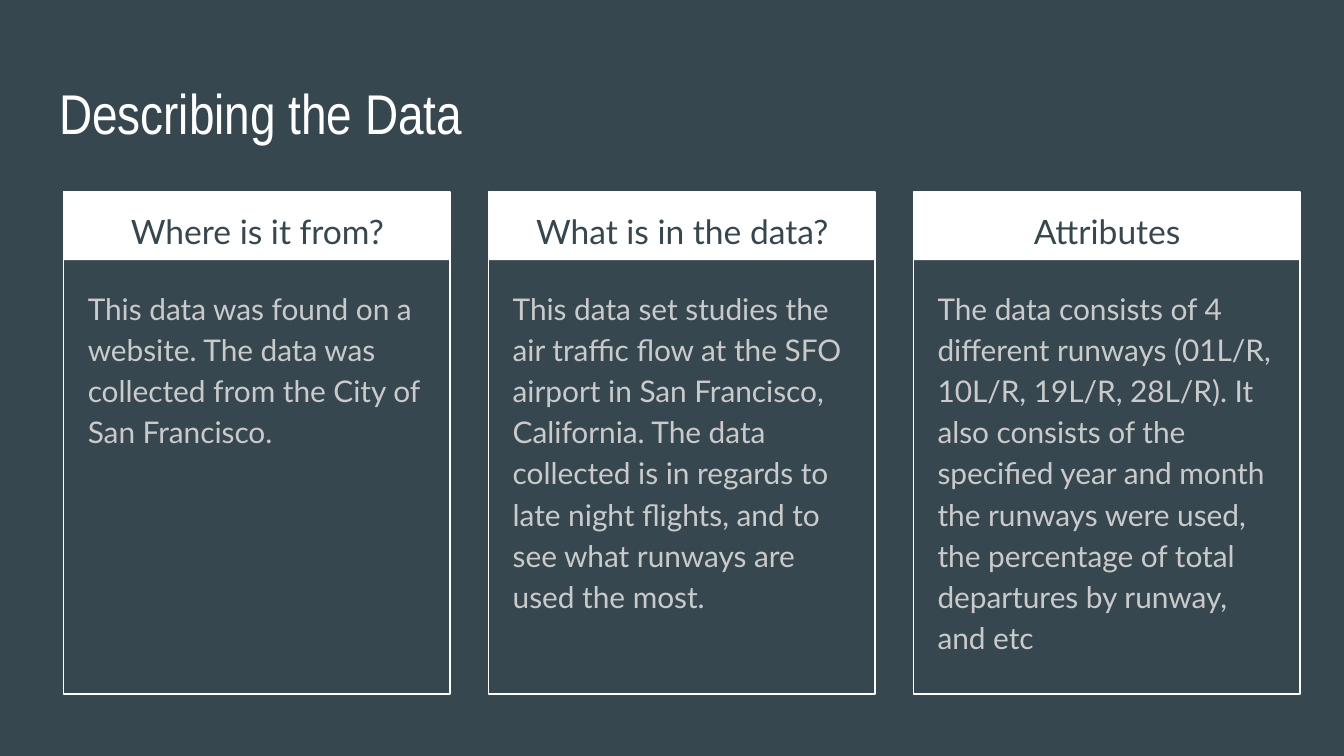
from dataclasses import dataclass

from lxml.etree import SubElement
from pptx import Presentation
from pptx.dml.color import RGBColor
from pptx.enum.shapes import MSO_SHAPE
from pptx.enum.text import MSO_ANCHOR, MSO_AUTO_SIZE, PP_ALIGN
from pptx.oxml.ns import qn
from pptx.shapes.autoshape import Shape
from pptx.slide import Slide
from pptx.util import Cm, Pt

SLATE = RGBColor(0x37, 0x47, 0x4F)
WHITE = RGBColor(0xFF, 0xFF, 0xFF)
LIGHT_GRAY = RGBColor(0xCA, 0xCA, 0xCA)

COMPARISON_LAYOUT = 4
FIRST_LEFT, COLUMN_PITCH = 1.2, 8.03
PANEL_TOP, PANEL_WIDTH, PANEL_HEIGHT = 3.63, 7.31, 9.49
HEADER_HEIGHT = 1.29
TEXT_MARGIN = 0.25


@dataclass(frozen=True)
class Area:
    """A rectangle in centimetres."""
    left: float
    top: float
    width: float
    height: float

    def lengths(self) -> tuple[Cm, Cm, Cm, Cm]:
        return Cm(self.left), Cm(self.top), Cm(self.width), Cm(self.height)


@dataclass(frozen=True)
class TextStyle:
    font: str
    size: int
    color: RGBColor
    align: PP_ALIGN = PP_ALIGN.LEFT
    line_spacing: float = 1.0
    space_after: int = 0


@dataclass(frozen=True)
class Column:
    heading: str
    body: str


TITLE = TextStyle("Arial Narrow", 30, WHITE)
HEADING = TextStyle("Lato", 18, SLATE, PP_ALIGN.CENTER, 1.15)
BODY = TextStyle("Lato", 16, LIGHT_GRAY, line_spacing=1.15, space_after=16)

COLUMNS = [
    Column("Where is it from?",
           "This data was found on a website. The data was collected from "
           "the City of San Francisco."),
    Column("What is in the data?",
           "This data set studies the air traffic flow at the SFO airport in "
           "San Francisco, California. The data collected is in regards to "
           "late night flights, and to see what runways are used the most."),
    Column("Attributes",
           "The data consists of 4 different runways (01L/R, 10L/R, 19L/R, "
           "28L/R). It also consists of the specified year and month the "
           "runways were used, the percentage of total departures by runway, "
           "and etc"),
]


def write_text(box: Shape, area: Area, text: str, style: TextStyle) -> None:
    box.left, box.top, box.width, box.height = area.lengths()
    frame = box.text_frame
    frame.word_wrap = True
    frame.auto_size = MSO_AUTO_SIZE.NONE
    frame.vertical_anchor = MSO_ANCHOR.TOP
    frame.margin_left = frame.margin_right = Cm(TEXT_MARGIN)
    frame.margin_top = frame.margin_bottom = Cm(TEXT_MARGIN)
    frame.text = text

    para = frame.paragraphs[0]
    para.alignment = style.align
    para.line_spacing = style.line_spacing
    para.space_before, para.space_after = Pt(0), Pt(style.space_after)
    para.font.name = style.font
    para.font.size = Pt(style.size)
    para.font.bold = False
    para.font.color.rgb = style.color

    properties = para._p.get_or_add_pPr()
    properties.set("marL", "0")
    properties.set("indent", "0")
    bullet = SubElement(properties, qn("a:buNone"))
    properties.find(qn("a:defRPr")).addprevious(bullet)


def add_rectangle(page: Slide, area: Area) -> Shape:
    rectangle = page.shapes.add_shape(MSO_SHAPE.RECTANGLE, *area.lengths())
    rectangle.shadow.inherit = False
    return rectangle


def add_panel(page: Slide, left: float) -> None:
    header = add_rectangle(page, Area(left, PANEL_TOP, PANEL_WIDTH, HEADER_HEIGHT))
    header.fill.solid()
    header.fill.fore_color.rgb = WHITE
    header.line.fill.background()

    outline = add_rectangle(page, Area(left, PANEL_TOP, PANEL_WIDTH, PANEL_HEIGHT))
    outline.fill.background()
    outline.line.color.rgb = WHITE
    outline.line.width = Pt(0.75)


def next_text_box(page: Slide, free: list[Shape], area: Area) -> Shape:
    """Bring the next free placeholder to the front, or add a text box."""
    if not free:
        return page.shapes.add_textbox(*area.lengths())
    box = free.pop(0)
    page.shapes._spTree.append(box._element)
    return box


def main() -> None:
    deck = Presentation()
    deck.slide_width, deck.slide_height = Cm(25.4), Cm(14.29)
    page = deck.slides.add_slide(deck.slide_layouts[COMPARISON_LAYOUT])
    page.background.fill.solid()
    page.background.fill.fore_color.rgb = SLATE

    write_text(page.shapes.title, Area(0.87, 1.24, 23.67, 1.6),
               "Describing the Data", TITLE)

    free = [page.placeholders[index] for index in (1, 2, 3, 4)]
    for number, column in enumerate(COLUMNS):
        left = FIRST_LEFT + number * COLUMN_PITCH
        add_panel(page, left)
        heading_area = Area(left + 0.2, PANEL_TOP, 6.93, 1.27)
        body_area = Area(left + 0.21, 5.14, 6.88, 7.77)
        for area, text, style in ((heading_area, column.heading, HEADING),
                                  (body_area, column.body, BODY)):
            write_text(next_text_box(page, free, area), area, text, style)

    deck.save("out.pptx")


if __name__ == "__main__":
    main()
